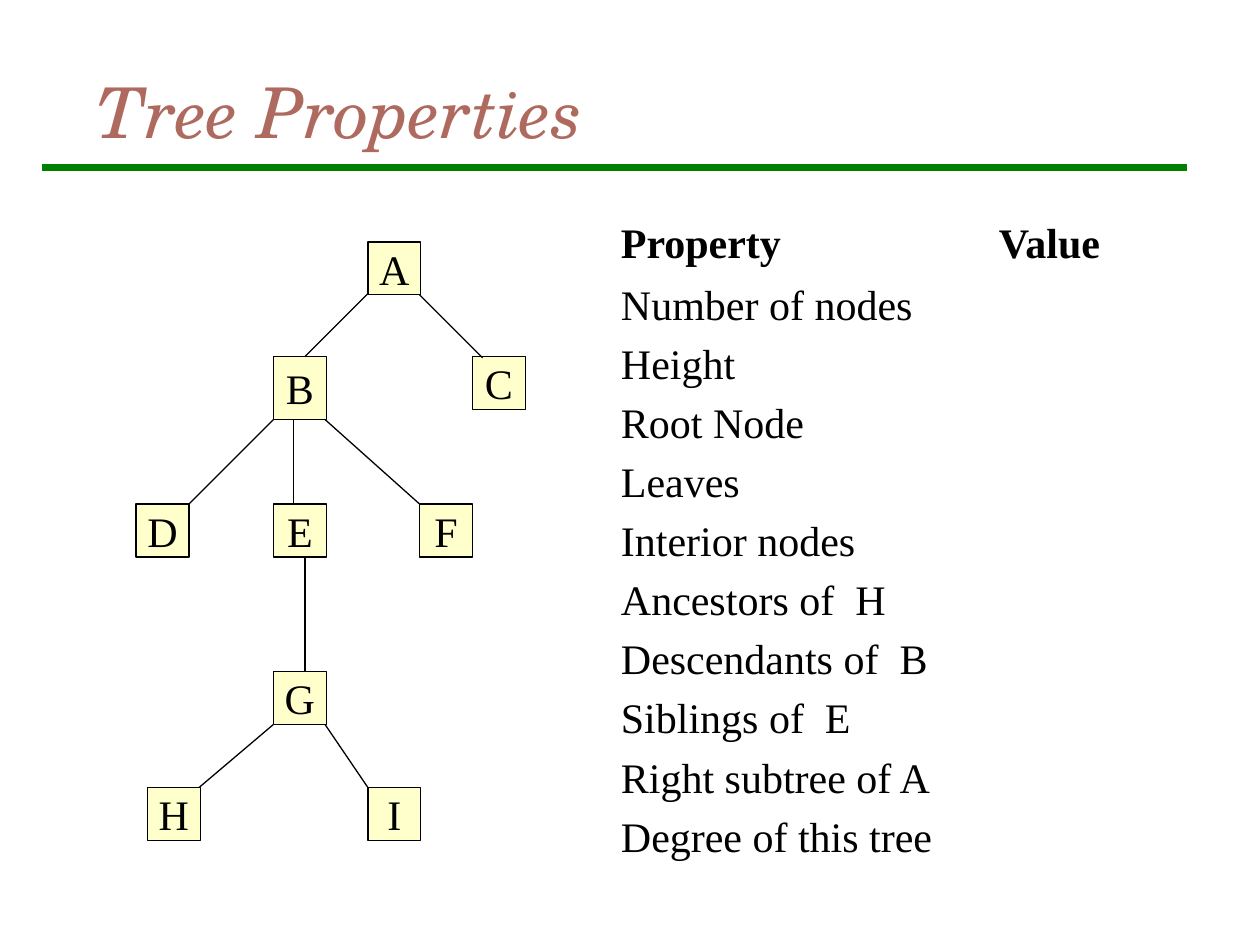
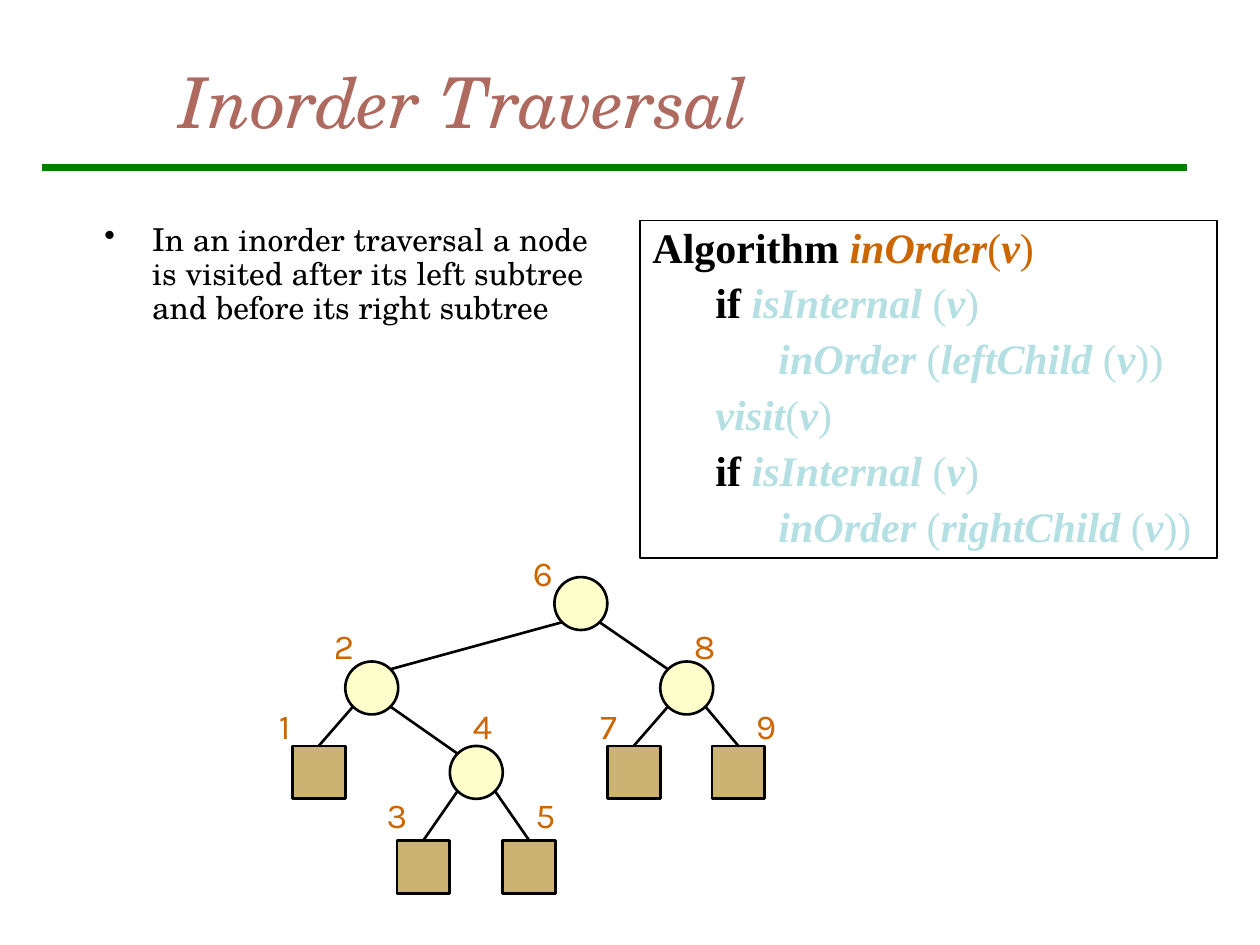
"""Build two slides on trees: node properties and inorder traversal."""
from dataclasses import dataclass
from itertools import groupby
from math import sqrt
from typing import Optional

from lxml.etree import SubElement
from pptx import Presentation
from pptx.dml.color import RGBColor
from pptx.enum.shapes import MSO_CONNECTOR, MSO_SHAPE
from pptx.enum.text import MSO_ANCHOR, PP_ALIGN
from pptx.oxml.ns import qn
from pptx.util import Inches, Pt


@dataclass(frozen=True)
class Theme:
    """Colours, fonts, type sizes and line widths of both slides."""
    black: str = "000000"
    title: str = "AF6A5F"
    band: str = "008000"
    node: str = "FFFFCC"
    leaf: str = "CCB374"
    accent: str = "CC6600"
    call: str = "B5E0E3"
    display: str = "TeX Gyre Schola"
    serif: str = "Times New Roman"
    label: str = "Karla"
    title_size: int = 40
    text_size: int = 24
    label_size: int = 20
    body_size: int = 18
    thin: float = 0.75
    medium: float = 1.5
    thick: float = 4


@dataclass(frozen=True)
class LetterNode:
    """A lettered box of the general tree."""
    letter: str
    left: float
    top: float
    height: float = 0.42


@dataclass(frozen=True)
class Edge:
    """A straight line between two points."""
    start: tuple[float, float]
    end: tuple[float, float]


@dataclass(frozen=True)
class VisitNode:
    """A node of the binary tree with its visiting number."""
    number: int
    left: float
    depth: int
    label_left: float
    parent: Optional[int] = None


@dataclass(frozen=True)
class CodeLine:
    """A line of pseudocode: indent, keyword, expression and its colour."""
    indent: float
    keyword: str
    expression: str
    color: str


THEME = Theme()
NODE_SIZE = 0.42
NODE_TOPS = (4.58, 5.25, 5.92, 6.67)
LABEL_TOPS = (4.33, 4.91, 5.54, 6.25)

LETTER_NODES = (
    LetterNode("A", 2.92, 1.92),
    LetterNode("B", 2.17, 2.83, 0.5),
    LetterNode("C", 3.75, 2.83),
    LetterNode("D", 1.08, 4),
    LetterNode("E", 2.17, 4),
    LetterNode("F", 3.33, 4),
    LetterNode("G", 2.17, 5.33),
    LetterNode("H", 1.17, 6.25),
    LetterNode("I", 2.92, 6.25),
)
LETTER_EDGES = (
    Edge((2.92, 2.33), (2.42, 2.83)),
    Edge((3.33, 2.34), (3.83, 2.84)),
    Edge((2.17, 3.33), (1.5, 4)),
    Edge((2.33, 3.33), (2.33, 4)),
    Edge((2.58, 3.33), (3.33, 4)),
    Edge((2.42, 4.42), (2.42, 5.33)),
    Edge((2.17, 5.75), (1.58, 6.25)),
    Edge((2.58, 5.75), (2.92, 6.25)),
)
PROPERTIES = (
    "Number of nodes", "Height", "Root Node", "Leaves", "Interior nodes",
    "Ancestors of  H", "Descendants of  B", "Siblings of  E",
    "Right subtree of A", "Degree of this tree",
)
VISIT_NODES = (
    VisitNode(6, 4.4, 0, 4.13),
    VisitNode(2, 2.74, 1, 2.55, 6),
    VisitNode(8, 5.24, 1, 5.41, 6),
    VisitNode(1, 2.32, 2, 2.08, 2),
    VisitNode(4, 3.57, 2, 3.65, 2),
    VisitNode(7, 4.82, 2, 4.65, 8),
    VisitNode(9, 5.65, 2, 5.9, 8),
    VisitNode(3, 3.15, 3, 2.97, 4),
    VisitNode(5, 3.99, 3, 4.15, 4),
)
CODE_LINES = (
    CodeLine(0, "Algorithm ", "inOrder(v)", THEME.accent),
    CodeLine(0.5, "if ", "isInternal (v)", THEME.call),
    CodeLine(1, "", "inOrder (leftChild (v))", THEME.call),
    CodeLine(0.5, "", "visit(v)", THEME.call),
    CodeLine(0.5, "if ", "isInternal (v)", THEME.call),
    CodeLine(1, "", "inOrder (rightChild (v))", THEME.call),
)


def write(paragraph, text: str, *, size: float = THEME.text_size, font: str = THEME.serif,
          color: str = THEME.black, bold: bool = False, italic: bool = False) -> None:
    """Add a formatted run to a paragraph."""
    run = paragraph.add_run()
    run.text = text
    run.font.size = Pt(size)
    run.font.name = font
    run.font.color.rgb = RGBColor.from_string(color)
    run.font.bold = bold
    run.font.italic = italic


def next_paragraph(frame, before: float = 0, spacing: float = 1, align=PP_ALIGN.LEFT):
    """Return the empty first paragraph, or a new one with space before it."""
    if frame.paragraphs[0].runs:
        paragraph = frame.add_paragraph()
        paragraph.space_before = Pt(before)
    else:
        paragraph = frame.paragraphs[0]
    paragraph.alignment = align
    paragraph.line_spacing = spacing
    return paragraph


def set_indent(paragraph, left: float, first: float = 0) -> None:
    """Set the left margin and first-line indent of a paragraph."""
    properties = paragraph._p.get_or_add_pPr()
    properties.set("marL", str(Inches(left)))
    properties.set("indent", str(Inches(first)))


def add_text_box(shapes, left: float, top: float, width: float, height: float,
                 anchor=MSO_ANCHOR.TOP, wrap: bool = True):
    """Add a text box and return its text frame."""
    box = shapes.add_textbox(Inches(left), Inches(top), Inches(width), Inches(height))
    box.text_frame.word_wrap = wrap
    box.text_frame.vertical_anchor = anchor
    return box.text_frame


def add_box(shapes, kind, left: float, top: float, width: float, height: float,
            fill: Optional[str], line: float):
    """Add an outlined preset shape without shadow."""
    shape = shapes.add_shape(kind, Inches(left), Inches(top), Inches(width), Inches(height))
    shape.shadow.inherit = False
    if fill:
        shape.fill.solid()
        shape.fill.fore_color.rgb = RGBColor.from_string(fill)
    else:
        shape.fill.background()
    shape.line.color.rgb = RGBColor.from_string(THEME.black)
    shape.line.width = Pt(line)
    return shape


def add_line(shapes, edge: Edge, width: float, color: str = THEME.black):
    """Add a straight connector without shadow."""
    connector = shapes.add_connector(
        MSO_CONNECTOR.STRAIGHT, *(Inches(value) for value in edge.start + edge.end))
    connector.line.color.rgb = RGBColor.from_string(color)
    connector.line.width = Pt(width)
    SubElement(connector._element.spPr, qn("a:effectLst"))
    return connector


def add_titled_slide(presentation, title: str, left: float, height: float):
    """Add a blank slide with the green band and an italic title."""
    slide = presentation.slides.add_slide(presentation.slide_layouts[6])
    add_line(slide.shapes, Edge((0.33, 1.33), (9.42, 1.33)), THEME.thick, THEME.band)
    frame = add_text_box(slide.shapes, left, 0.42, 8.5, height, MSO_ANCHOR.MIDDLE)
    write(next_paragraph(frame), title, size=THEME.title_size, font=THEME.display,
          color=THEME.title, italic=True)
    return slide


def add_letter_tree(slide) -> None:
    """Draw the general tree of lettered boxes."""
    shapes = slide.shapes.add_group_shape().shapes
    for node in LETTER_NODES:
        box = add_box(shapes, MSO_SHAPE.RECTANGLE, node.left, node.top, NODE_SIZE,
                      node.height, THEME.node, THEME.thin)
        box.text_frame.word_wrap = False
        box.text_frame.vertical_anchor = MSO_ANCHOR.MIDDLE
        write(next_paragraph(box.text_frame, align=PP_ALIGN.CENTER), node.letter)
    for edge in LETTER_EDGES:
        add_line(shapes, edge, THEME.thin)


def add_property_list(slide) -> None:
    """Write the list of tree properties under its heading."""
    frame = add_text_box(slide.shapes, 4.83, 1.67, 4.5, 5.2)
    heading = next_paragraph(frame)
    tabs = SubElement(heading._p.get_or_add_pPr(), qn("a:tabLst"))
    for position in (2, 3):
        SubElement(tabs, qn("a:tab"), pos=str(Inches(position)), algn="l")
    write(heading, "Property\t\tValue", bold=True)
    for name in PROPERTIES:
        write(next_paragraph(frame, before=16.5, spacing=0.6), name)


def add_definition(slide) -> None:
    """Write the bulleted definition of inorder traversal."""
    frame = add_text_box(slide.shapes, 0.73, 1.73, 4.1, 2.43)
    paragraph = next_paragraph(frame, spacing=0.9)
    set_indent(paragraph, 0.38, -0.38)
    SubElement(paragraph._p.get_or_add_pPr(), qn("a:buChar"), char="•")
    write(paragraph, "In an inorder traversal a node is visited after its left subtree "
          "and before its right subtree", size=THEME.body_size, font=THEME.display)


def add_algorithm(slide) -> None:
    """Write the framed pseudocode, with names bold italic and brackets plain."""
    box = add_box(slide.shapes, MSO_SHAPE.RECTANGLE, 5.08, 1.75, 4.58, 2.68, None, THEME.thin)
    box.text_frame.word_wrap = True
    box.text_frame.vertical_anchor = MSO_ANCHOR.TOP
    for line in CODE_LINES:
        paragraph = next_paragraph(box.text_frame, before=6, spacing=0.9)
        set_indent(paragraph, line.indent)
        if line.keyword:
            write(paragraph, line.keyword, bold=True)
        for is_bracket, letters in groupby(line.expression, lambda letter: letter in "()"):
            write(paragraph, "".join(letters), color=line.color,
                  bold=not is_bracket, italic=not is_bracket)


def rim_point(node: VisitNode, side: int, vertical: int) -> tuple[float, float]:
    """Return the diagonal point of a circle; -1 is left or up, 1 is right or down."""
    radius = NODE_SIZE / 2
    reach = radius / sqrt(2)
    return (node.left + radius + side * reach,
            NODE_TOPS[node.depth] + radius + vertical * reach)


def add_visit_tree(slide) -> None:
    """Draw the binary tree with circles inside, squares as leaves and visit numbers."""
    shapes = slide.shapes.add_group_shape().shapes
    nodes = {node.number: node for node in VISIT_NODES}
    parents = {node.parent for node in VISIT_NODES}
    for node in VISIT_NODES:
        top = NODE_TOPS[node.depth]
        is_leaf = node.number not in parents
        kind, fill = ((MSO_SHAPE.RECTANGLE, THEME.leaf) if is_leaf
                      else (MSO_SHAPE.OVAL, THEME.node))
        shape = add_box(shapes, kind, node.left, top, NODE_SIZE, NODE_SIZE, fill, THEME.medium)
        if node.parent:
            parent = nodes[node.parent]
            side = 1 if node.left > parent.left else -1
            end = (node.left + NODE_SIZE / 2, top) if is_leaf else rim_point(node, -side, -1)
            connector = add_line(shapes, Edge(rim_point(parent, side, 1), end), THEME.medium)
            if is_leaf:
                connector.end_connect(shape, 0)
        label = add_text_box(shapes, node.label_left, LABEL_TOPS[node.depth], 0.36, 0.44,
                             wrap=False)
        write(next_paragraph(label, align=PP_ALIGN.CENTER), str(node.number),
              size=THEME.label_size, font=THEME.label, color=THEME.accent)


def main() -> None:
    """Build and save the presentation."""
    presentation = Presentation()
    presentation.slide_width = Inches(10)
    presentation.slide_height = Inches(7.5)
    properties = add_titled_slide(presentation, "Tree Properties", 0.67, 0.92)
    add_letter_tree(properties)
    add_property_list(properties)
    traversal = add_titled_slide(presentation, "Inorder Traversal", 1.33, 0.76)
    add_definition(traversal)
    add_algorithm(traversal)
    add_visit_tree(traversal)
    presentation.save("out.pptx")


if __name__ == "__main__":
    main()
